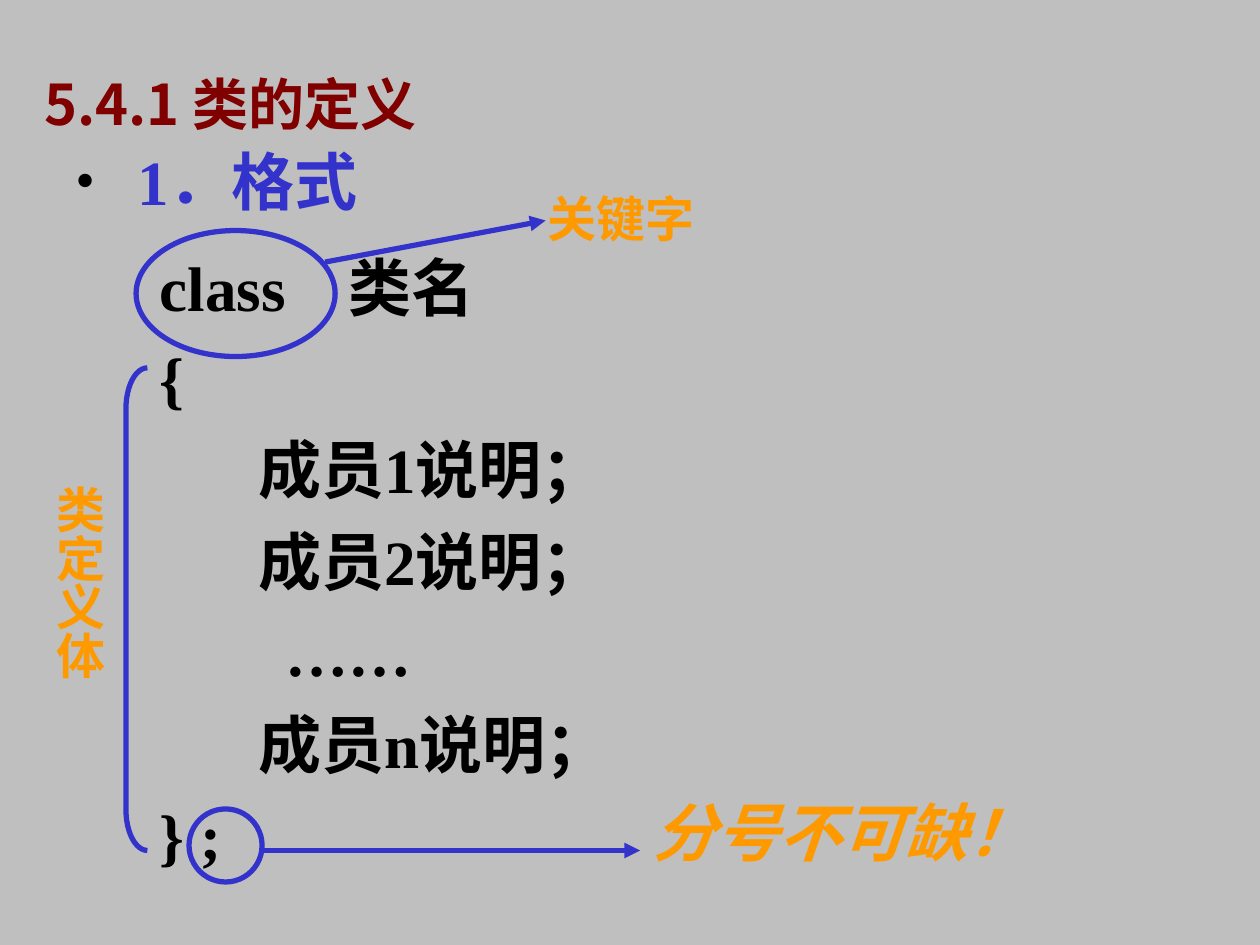
from pptx import Presentation
from pptx.util import Inches, Pt
from pptx.dml.color import RGBColor
from pptx.enum.shapes import MSO_SHAPE as Shape, MSO_CONNECTOR as Link
from pptx.enum.text import MSO_ANCHOR as Anchor, MSO_AUTO_SIZE as Fit, PP_ALIGN as Align
from pptx.oxml.ns import qn
from lxml.etree import SubElement as Sub

THEME = {
    "back": "BFBFBF", "title": "800000", "ink": "000000",
    "blue": "3333CC", "note": "FF9900",
    "head": 32, "code": 36, "label": 28, "line": 3,
    "sans": "Noto Sans CJK SC", "serif": "Times New Roman",
}
TITLE = ("5.4.1 类的定义", (0.25, 0.42, 5.58, 0.79))
HEAD = ("1．格式", (0.5, 1.08, 4.83, 0.75))
CODE_BOX = (1.17, 1.92, 4.08, 5.05)
CODE = [
    ("class\t类名", 0), ("{", 0), ("成员1说明；", 0.78), ("成员2说明；", 0.78),
    ("……", 1), ("成员n说明；", 0.78), ("} ;", 0),
]
NOTES = [
    ("关键字", (4.25, 1.5, 1.75, 0.52), {"size": "label", "lead": 0.9}),
    ("类定义体", (0.25, 3.75, 0.66, 1.83), {"size": "label", "vert": True}),
    ("分号不可缺！", (5.08, 6.25, 3.46, 0.7), {"size": "code", "slant": True}),
]
RINGS = [(1.08, 1.83, 1.58, 1), (1.5, 6.42, 0.58, 0.58)]
BRACE = (1, 2.92, 0.17, 3.83)
ARROWS = [(2.58, 2.08, 4.33, 1.75), (2.08, 6.75, 5.08, 6.75)]


def tint(name):
    return RGBColor.from_string(THEME[name])


def span(box):
    return [Inches(n) for n in box]


def write(para, text, *, size="code", face="sans", hue="ink", slant=None,
          gap=0, lead=None, indent=0, hang=0, bullet=None, tab=None):
    para.alignment = Align.LEFT
    para.space_before = Pt(gap)
    if lead:
        para.line_spacing = lead
    props = para._p.get_or_add_pPr()
    props.set("marL", str(Inches(indent)))
    props.set("indent", str(Inches(-hang)))
    if bullet:
        ink = Sub(props, qn("a:buClr"))
        Sub(ink, qn("a:srgbClr"), val=THEME["ink"])
        Sub(props, qn("a:buSzPct"), val="89000")
        Sub(props, qn("a:buFont"), typeface=THEME[face])
        Sub(props, qn("a:buChar"), char=bullet)
    if tab:
        tabs = Sub(props, qn("a:tabLst"))
        Sub(tabs, qn("a:tab"), pos=str(Inches(tab)), algn="l")
    run = para.add_run()
    run.text = text
    font = run.font
    font.size, font.bold, font.italic = Pt(THEME[size]), True, slant
    font.name = THEME[face]
    font.color.rgb = tint(hue)
    Sub(run._r.get_or_add_rPr(), qn("a:ea"), typeface=THEME["sans"])


def frame(shape, vert=False):
    text = shape.text_frame
    text.word_wrap = True
    text.auto_size = Fit.NONE
    wide, thin = Inches(0.1), Inches(0.05)
    side, edge = (thin, wide) if vert else (wide, thin)
    text.margin_left = text.margin_right = side
    text.margin_top = text.margin_bottom = edge
    if vert:
        text._txBody.bodyPr.set("vert", "eaVert")
    return text


def outline(line):
    line.color.rgb = tint("blue")
    line.width = Pt(THEME["line"])


def draw(kind, box):
    shape = shapes.add_shape(kind, *span(box))
    shape.shadow.inherit = False
    shape.fill.background()
    outline(shape.line)
    return shape


deck = Presentation()
deck.slide_width, deck.slide_height = Inches(10), Inches(7.5)
slide = deck.slides.add_slide(deck.slide_layouts[5])
shapes = slide.shapes
slide.background.fill.solid()
slide.background.fill.fore_color.rgb = tint("back")

text, box = TITLE
title = shapes.title
title.left, title.top, title.width, title.height = span(box)
body = frame(title)
body.vertical_anchor = Anchor.MIDDLE
write(body.paragraphs[0], text, size="head", hue="title")

text, box = HEAD
body = frame(shapes.add_textbox(*span(box)))
write(body.paragraphs[0], text, face="serif", hue="blue",
      indent=0.49, hang=0.49, bullet="•")

body = frame(shapes.add_textbox(*span(CODE_BOX)))
for i, (text, indent) in enumerate(CODE):
    para = body.add_paragraph() if i else body.paragraphs[0]
    write(para, text, face="serif", indent=indent, gap=9 if i else 0,
          tab=1.6 if "\t" in text else None)

for text, box, look in NOTES:
    look = dict(look)
    body = frame(shapes.add_textbox(*span(box)), look.pop("vert", False))
    write(body.paragraphs[0], text, hue="note", **look)

for box in RINGS:
    draw(Shape.OVAL, box)
brace = draw(Shape.LEFT_BRACKET, BRACE)
brace.adjustments[0] = 1.9

for ends in ARROWS:
    arrow = shapes.add_connector(Link.STRAIGHT, *span(ends))
    outline(arrow.line)
    Sub(arrow.line._get_or_add_ln(), qn("a:tailEnd"), type="triangle")
    Sub(arrow._element.spPr, qn("a:effectLst"))

deck.save("out.pptx")
